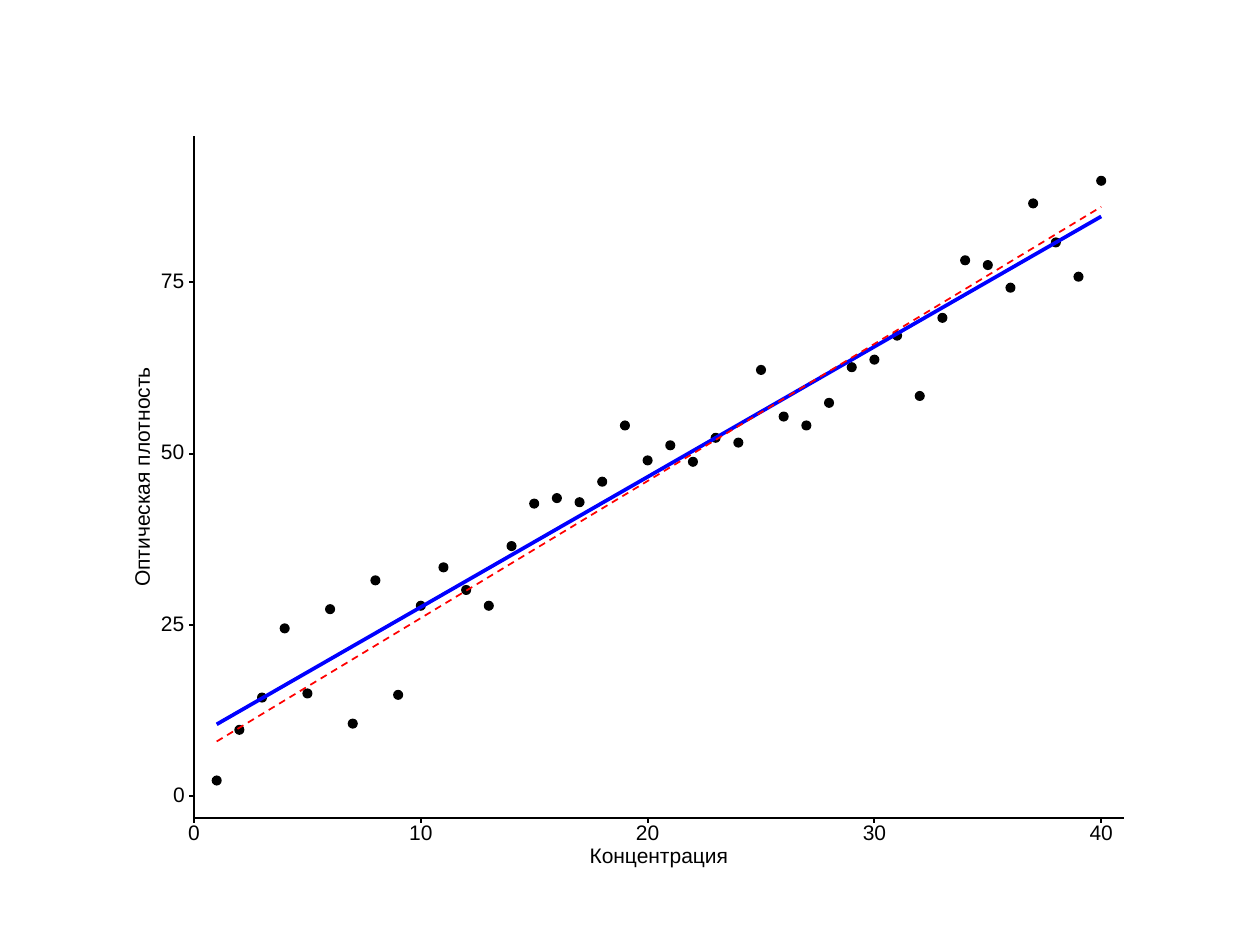
from dataclasses import dataclass

from pptx import Presentation
from pptx.dml.color import RGBColor
from pptx.enum.dml import MSO_LINE
from pptx.enum.shapes import MSO_CONNECTOR, MSO_SHAPE
from pptx.enum.text import MSO_ANCHOR, PP_ALIGN
from pptx.oxml.ns import qn
from pptx.shapes.shapetree import GroupShapes
from pptx.util import Inches, Pt

RECTANGLE, OVAL = MSO_SHAPE.RECTANGLE, MSO_SHAPE.OVAL
STRAIGHT, DASH = MSO_CONNECTOR.STRAIGHT, MSO_LINE.DASH
MIDDLE, CENTER = MSO_ANCHOR.MIDDLE, PP_ALIGN.CENTER

BLACK = RGBColor(0x00, 0x00, 0x00)
WHITE = RGBColor(0xFF, 0xFF, 0xFF)
BLUE = RGBColor(0x00, 0x00, 0xFF)
RED = RGBColor(0xFF, 0x00, 0x00)

# Plot area and scales, in inches
LEFT, TOP, RIGHT, BOTTOM = 1.54, 1.08, 8.92, 6.49
ZERO_Y = 6.32
X_UNIT, Y_UNIT = 0.18, 1.36 / 25
TICK, DOT = 0.04, 0.07
DIGIT_WIDTH, LABEL_HEIGHT = 0.1, 0.12

# Optical density at concentrations 1 to 40
DENSITIES = [
    2.3, 9.7, 14.4, 24.5, 15.0, 27.3, 10.6, 31.5, 14.8, 27.8,
    33.4, 30.1, 27.8, 36.5, 42.7, 43.5, 42.9, 45.9, 54.1, 49.0,
    51.2, 48.8, 52.3, 51.6, 62.2, 55.4, 54.1, 57.4, 62.6, 63.7,
    67.2, 58.4, 69.8, 78.2, 77.5, 74.2, 86.5, 80.8, 75.8, 89.8,
]


@dataclass
class Trend:
    slope: float
    intercept: float
    color: RGBColor
    weight: float
    dashed: bool = False

    def value(self, concentration: float) -> float:
        return self.intercept + self.slope * concentration


TRENDS = [Trend(1.9, 8.6, BLUE, 2.13), Trend(2, 6, RED, 1, dashed=True)]


def x_at(concentration: float) -> float:
    return LEFT + concentration * X_UNIT


def y_at(density: float) -> float:
    return ZERO_Y - density * Y_UNIT


def add_panel(shapes: GroupShapes, left: float, top: float,
              width: float, height: float) -> None:
    panel = shapes.add_shape(RECTANGLE, Inches(left), Inches(top),
                             Inches(width), Inches(height))
    panel.shadow.inherit = False
    panel.fill.solid()
    panel.fill.fore_color.rgb = WHITE
    panel.line.fill.background()


def add_dot(shapes: GroupShapes, x: float, y: float) -> None:
    dot = shapes.add_shape(OVAL, Inches(x - DOT / 2), Inches(y - DOT / 2),
                           Inches(DOT), Inches(DOT))
    dot.shadow.inherit = False
    dot.fill.solid()
    dot.fill.fore_color.rgb = BLACK
    dot.line.color.rgb = BLACK
    dot.line.width = Pt(0.71)


def add_line(shapes: GroupShapes, x1: float, y1: float, x2: float, y2: float,
             weight: float, color: RGBColor = BLACK,
             dashed: bool = False) -> None:
    line = shapes.add_connector(STRAIGHT, Inches(x1), Inches(y1),
                                Inches(x2), Inches(y2))
    line.line.color.rgb = color
    line.line.width = Pt(weight)
    if dashed:
        line.line.dash_style = DASH
    properties = line._element.spPr
    properties.append(properties.makeelement(qn("a:effectLst"), {}))


def add_label(shapes: GroupShapes, text: str, x: float, y: float,
              width: float, rotation: float = 0) -> None:
    """Write a label centred on the point x, y."""
    box = shapes.add_textbox(Inches(x - width / 2), Inches(y - LABEL_HEIGHT / 2),
                             Inches(width), Inches(LABEL_HEIGHT))
    box.rotation = rotation
    frame = box.text_frame
    frame.margin_left = frame.margin_right = 0
    frame.margin_top = frame.margin_bottom = 0
    frame.word_wrap = False
    frame.vertical_anchor = MIDDLE
    frame.text = text
    para = frame.paragraphs[0]
    para.alignment = CENTER
    para.line_spacing = Pt(12)
    font = para.runs[0].font
    font.name, font.size = "Arial", Pt(12)
    font.color.rgb = BLACK


def main() -> None:
    deck = Presentation()
    deck.slide_width, deck.slide_height = Inches(10), Inches(7.5)
    page = deck.slides.add_slide(deck.slide_layouts[6])
    plot = page.shapes.add_group_shape().shapes

    # Background and plot panel
    add_panel(plot, 1, 1, 8, 6)
    add_panel(plot, LEFT, TOP, RIGHT - LEFT, BOTTOM - TOP)

    # Measurements
    for concentration, density in enumerate(DENSITIES, start=1):
        add_dot(plot, x_at(concentration), y_at(density))

    # Fitted and true lines
    first, last = 1, len(DENSITIES)
    for trend in TRENDS:
        add_line(plot, x_at(first), y_at(trend.value(first)),
                 x_at(last), y_at(trend.value(last)),
                 trend.weight, trend.color, trend.dashed)

    # Vertical axis
    add_line(plot, LEFT, BOTTOM, LEFT, TOP, 1.07)
    for density in range(0, 100, 25):
        y, text = y_at(density), str(density)
        width = DIGIT_WIDTH * len(text)
        add_label(plot, text, 1.47 - width / 2, y, width)
        add_line(plot, LEFT - TICK, y, LEFT, y, 1.16)

    # Horizontal axis
    add_line(plot, LEFT, BOTTOM, RIGHT, BOTTOM, 1.07)
    for concentration in range(0, 50, 10):
        x, text = x_at(concentration), str(concentration)
        add_line(plot, x, BOTTOM + TICK, x, BOTTOM, 1.16)
        add_label(plot, text, x, 6.62, DIGIT_WIDTH * len(text))

    # Axis titles
    add_label(plot, "Концентрация", (LEFT + RIGHT) / 2, 6.8, 1.2)
    add_label(plot, "Оптическая плотность", 1.14, (TOP + BOTTOM) / 2, 1.9,
              rotation=270)

    deck.save("out.pptx")


if __name__ == "__main__":
    main()
